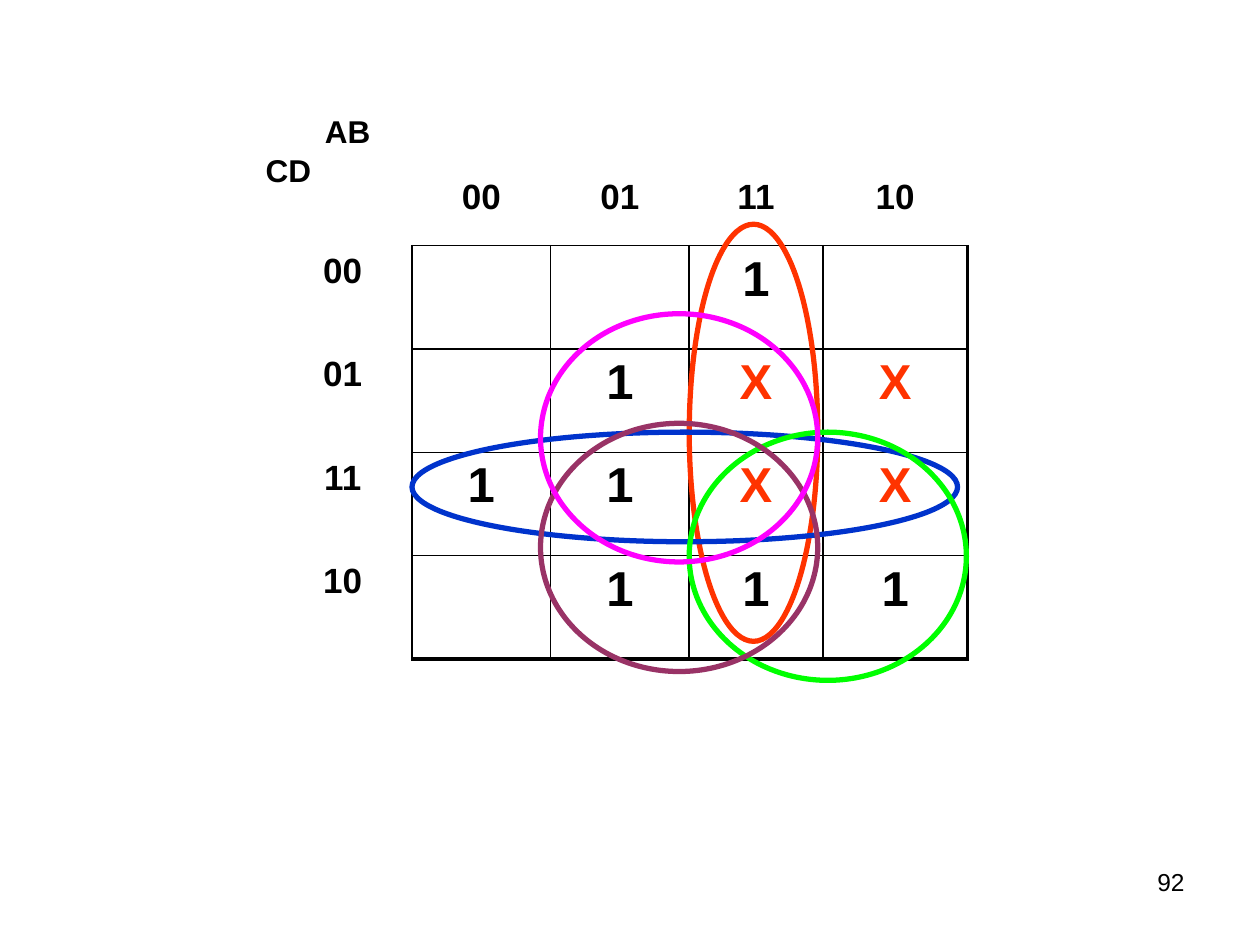
from lxml.etree import SubElement
from pptx import Presentation
from pptx.dml.color import RGBColor
from pptx.enum.shapes import MSO_SHAPE
from pptx.enum.text import PP_ALIGN
from pptx.oxml.ns import qn
from pptx.util import Inches, Pt

BLACK, ORANGE = "000000", "FF3300"
COLUMN_WIDTHS = [1.1, 1.1, 1.1, 1.06, 1.15]
HEADER_HEIGHT, ROW_HEIGHT = 0.96, 0.82
TABLE_LEFT, TABLE_TOP = 2.17, 0.99
KARNAUGH_MAP = [
    ["", "00", "01", "11", "10"],
    ["00", "", "", "1", ""],
    ["01", "", "1", "X", "X"],
    ["11", "1", "1", "X", "X"],
    ["10", "", "1", "1", "1"],
]
LAST = len(KARNAUGH_MAP) - 1
GROUPS = [
    (5.47, 1.78, 1.02, 3.31, ORANGE),
    (3.27, 3.43, 4.33, 0.87, "0033CC"),
    (5.47, 3.43, 2.2, 1.97, "00FF00"),
    (4.29, 3.36, 2.2, 1.97, "993366"),
    (4.29, 2.49, 2.2, 1.97, "FF00FF"),
]


def color(value):
    """Turn a hex string into a colour."""
    return RGBColor.from_string(value)


def write(frame, text, size, align, hex_color=BLACK, bold=True):
    """Write one run into the first paragraph of a text frame."""
    para = frame.paragraphs[0]
    para.alignment = align
    span = para.add_run()
    span.text = text
    span.font.name = "Arial"
    span.font.size = Pt(size)
    span.font.bold = bold
    span.font.color.rgb = color(hex_color)


def add_label(page, place, text, size, align=PP_ALIGN.LEFT, bold=True):
    """Add a wrapping text box with one line of text."""
    box = page.shapes.add_textbox(*map(Inches, place))
    box.text_frame.word_wrap = True
    write(box.text_frame, text, size, align, bold=bold)


def border_widths(row, column):
    """Give the left, right, top and bottom border widths of a cell."""
    if row and column:
        return 1, 2.25 if column == LAST else 1, 1, 2.25 if row == LAST else 1
    return 0, 1 if row else 0, 0, 1 if column else 0


def set_borders(cell, widths):
    """Draw black borders, leaving out those of zero width."""
    properties = cell._tc.get_or_add_tcPr()
    for side, width in zip("LRTB", widths):
        line = SubElement(properties, qn(f"a:ln{side}"), w=str(Pt(width)))
        if width:
            fill = SubElement(line, qn("a:solidFill"))
            SubElement(fill, qn("a:srgbClr"), val=BLACK)
        else:
            SubElement(line, qn("a:noFill"))


def add_map(page):
    """Add the Karnaugh map as a table."""
    size = len(KARNAUGH_MAP)
    height = HEADER_HEIGHT + LAST * ROW_HEIGHT
    place = (TABLE_LEFT, TABLE_TOP, sum(COLUMN_WIDTHS), height)
    table = page.shapes.add_table(size, size, *map(Inches, place)).table
    table.first_row = table.horz_banding = False
    for column, width in zip(table.columns, COLUMN_WIDTHS):
        column.width = Inches(width)
    for index, row in enumerate(table.rows):
        row.height = Inches(ROW_HEIGHT if index else HEADER_HEIGHT)
    for row, values in enumerate(KARNAUGH_MAP):
        for column, value in enumerate(values):
            cell = table.cell(row, column)
            set_borders(cell, border_widths(row, column))
            cell.fill.background()
            if row == 0:
                cell.margin_top = Inches(0.42)
            if value:
                write(cell.text_frame, value, 28 if row and column else 20,
                      PP_ALIGN.CENTER, ORANGE if value == "X" else BLACK)


def add_group(page, left, top, width, height, hex_color):
    """Circle a group of map cells with an unfilled ellipse."""
    place = map(Inches, (left, top, width, height))
    ellipse = page.shapes.add_shape(MSO_SHAPE.OVAL, *place)
    ellipse.shadow.inherit = False
    ellipse.fill.background()
    ellipse.line.color.rgb = color(hex_color)
    ellipse.line.width = Pt(3)


def main():
    """Build and save the slide."""
    deck = Presentation()
    deck.slide_width, deck.slide_height = Inches(10), Inches(7.5)
    page = deck.slides.add_slide(deck.slide_layouts[6])
    add_label(page, (7.17, 6.83, 2.33, 0.52), "92", 14, PP_ALIGN.RIGHT, False)
    add_map(page)
    add_label(page, (2.48, 0.84, 1.1, 0.4), "AB", 18)
    add_label(page, (2.01, 1.15, 0.91, 0.4), "CD", 18)
    for group in GROUPS:
        add_group(page, *group)
    deck.save("out.pptx")


if __name__ == "__main__":
    main()
